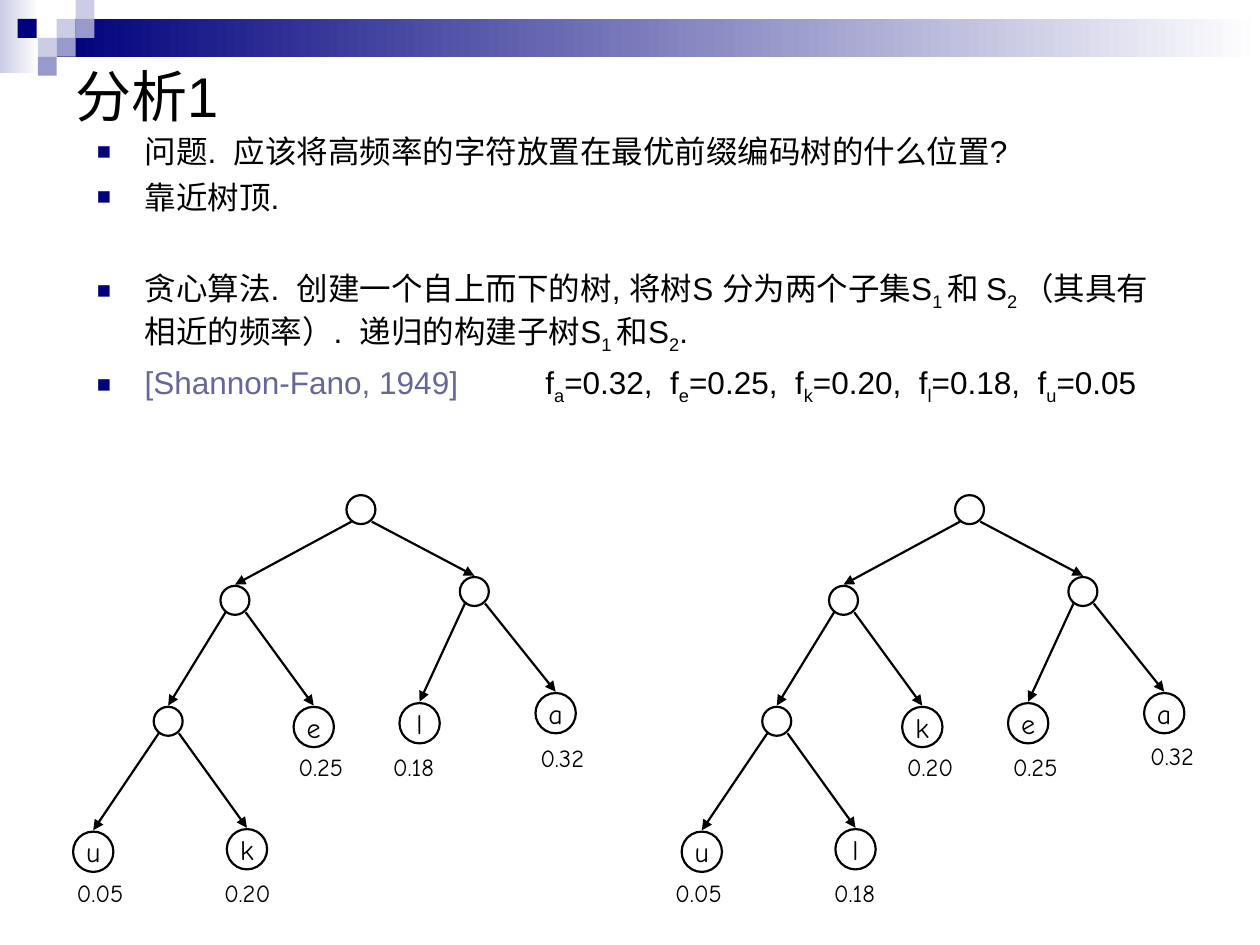
from dataclasses import dataclass

from lxml.etree import SubElement
from pptx import Presentation
from pptx.dml.color import RGBColor
from pptx.enum.shapes import MSO_CONNECTOR, MSO_SHAPE
from pptx.enum.text import MSO_ANCHOR, PP_ALIGN
from pptx.oxml.ns import qn
from pptx.util import Inches, Pt


@dataclass(frozen=True)
class Theme:
    black: str = "000000"
    white: str = "FFFFFF"
    navy: str = "00007D"
    violet: str = "9999CC"
    pale: str = "CCCCE6"
    cite: str = "666699"
    font: str = "Arial"
    tree_font: str = "Comic Neue"
    title: int = 32
    body: int = 18
    node: int = 16
    label: int = 14
    line: float = 1.25


T = Theme()
FREQUENCY = {"a": "0.32", "e": "0.25", "k": "0.20", "l": "0.18", "u": "0.05"}
INNER, LEAF = 0.23, 0.32

# Inner nodes: left, top
NODES = {"root": (2.75, 3.93), "left": (1.75, 4.65),
         "right": (3.65, 4.58), "low": (1.22, 5.61)}
# Leaves: left, top
LEAVES = {"low_l": (0.58, 6.6), "low_r": (1.8, 6.58), "left_r": (2.33, 5.61),
          "right_l": (3.17, 5.58), "right_r": (4.25, 5.5)}
# Parent: left child, right child
CHILDREN = {"root": ("left", "right"), "left": ("low", "left_r"),
            "right": ("right_l", "right_r"), "low": ("low_l", "low_r")}

# Each tree: shift, then letter with label left and top for every leaf
TREES = [
    (0, {"low_l": ("u", 0.51, 6.92), "low_r": ("k", 1.68, 6.92),
         "left_r": ("e", 2.27, 5.92), "right_l": ("l", 3.02, 5.92),
         "right_r": ("a", 4.19, 5.85)}),
    (4.83, {"low_l": ("u", 5.26, 6.92), "low_r": ("l", 6.52, 6.92),
            "left_r": ("k", 7.1, 5.92), "right_l": ("e", 7.94, 5.92),
            "right_r": ("a", 9.03, 5.83)}),
]

# Body runs, alternating between normal and subscript
GREEDY = ["贪心算法.  创建一个自上而下的树, 将树S 分为两个子集S", "1 ", "和 S", "2 ",
          "（其具有相近的频率）.  递归的构建子树S", "1 ", "和S", "2", "."]
FREQUENCIES = ["f", "a", "=0.32,  f", "e", "=0.25,  f", "k", "=0.20,  f",
               "l", "=0.18,  f", "u", "=0.05"]


def rgb(color):
    return RGBColor.from_string(color)


def add_run(p, text, size, color=T.black, font=T.font, subscript=False):
    r = p.add_run()
    r.text = text
    r.font.size = Pt(size)
    r.font.name = font
    r.font.color.rgb = rgb(color)
    if subscript:
        r.font._element.set("baseline", "-25000")


def add_runs(p, texts):
    for i, text in enumerate(texts):
        add_run(p, text, T.body, subscript=i % 2 == 1)


def add_block(s, left, top, width, height, color, fade=False):
    sp = s.shapes.add_shape(MSO_SHAPE.RECTANGLE, Inches(left), Inches(top),
                            Inches(width), Inches(height))
    sp.shadow.inherit = False
    sp.line.fill.background()
    if fade:
        sp.fill.gradient()
        sp.fill.gradient_angle = 0
        for stop, c in zip(sp.fill.gradient_stops, (color, T.white)):
            stop.color.rgb = rgb(c)
    else:
        sp.fill.solid()
        sp.fill.fore_color.rgb = rgb(color)


def add_banner(s):
    add_block(s, 0, 0, 0.31, 0.58, T.pale, fade=True)
    add_block(s, 0.45, 0.15, 9.55, 0.3, T.navy, fade=True)
    for left, top, color in [
            (0.45, 0.15, T.pale), (0.6, 0, T.pale), (0.6, 0.15, T.violet),
            (0.3, 0.3, T.pale), (0.14, 0.15, T.navy), (0.45, 0.3, T.violet),
            (0.3, 0.45, T.violet)]:
        add_block(s, left, top, 0.15, 0.15, color)


def add_title(s, text):
    sp = s.shapes.title
    sp.left, sp.top = Inches(0.5), Inches(0.42)
    sp.width, sp.height = Inches(9), Inches(0.67)
    tf = sp.text_frame
    tf.vertical_anchor = MSO_ANCHOR.MIDDLE
    p = tf.paragraphs[0]
    p.alignment = PP_ALIGN.LEFT
    add_run(p, text, T.title)


def set_bullet(p, tab=None):
    pPr = p._p.get_or_add_pPr()
    pPr.set("marL", str(Inches(0.38)))
    pPr.set("indent", str(-Inches(0.38)))
    SubElement(SubElement(pPr, qn("a:buClr")), qn("a:srgbClr"), val=T.navy)
    SubElement(pPr, qn("a:buSzPct"), val="75000")
    SubElement(pPr, qn("a:buFont"), typeface=T.font)
    SubElement(pPr, qn("a:buChar"), char="■")
    if tab:
        SubElement(SubElement(pPr, qn("a:tabLst")), qn("a:tab"),
                   pos=str(Inches(tab)), algn="l")


def add_body(s):
    tf = s.shapes.add_textbox(Inches(0.67), Inches(1), Inches(8.75),
                              Inches(5.92)).text_frame
    tf.word_wrap = True

    def bullet(before, tab=None):
        p = tf.add_paragraph() if before else tf.paragraphs[0]
        set_bullet(p, tab)
        if before:
            p.space_before = Pt(before)
        return p

    add_runs(bullet(0), ["问题.  应该将高频率的字符放置在最优前缀编码树的什么位置?"])
    add_runs(bullet(4.5), ["靠近树顶."])
    add_runs(bullet(30.5), GREEDY)
    p = bullet(4.5, tab=3.56)
    add_run(p, "[Shannon-Fano, 1949]\t", T.body, T.cite)
    add_runs(p, FREQUENCIES)


def add_node(s, left, top, size, letter=None):
    sp = s.shapes.add_shape(MSO_SHAPE.OVAL, Inches(left), Inches(top),
                            Inches(size), Inches(size))
    sp.shadow.inherit = False
    sp.fill.background()
    sp.line.color.rgb = rgb(T.black)
    sp.line.width = Pt(T.line)
    if letter:
        tf = sp.text_frame
        tf.word_wrap = False
        tf.vertical_anchor = MSO_ANCHOR.MIDDLE
        p = tf.paragraphs[0]
        p.alignment = PP_ALIGN.CENTER
        add_run(p, letter, T.node, font=T.tree_font)


def add_arrow(s, x1, y1, x2, y2):
    line = s.shapes.add_connector(MSO_CONNECTOR.STRAIGHT, Inches(x1), Inches(y1),
                                  Inches(x2), Inches(y2))
    line.line.color.rgb = rgb(T.black)
    line.line.width = Pt(T.line)
    SubElement(line.line._get_or_add_ln(), qn("a:tailEnd"), type="triangle")
    SubElement(line._element.spPr, qn("a:effectLst"))


def add_label(s, left, top, text):
    tf = s.shapes.add_textbox(Inches(left), Inches(top), Inches(0.6),
                              Inches(0.33)).text_frame
    tf.word_wrap = False
    # Room to spare on the right keeps every number on one line
    tf.margin_right = 0
    add_run(tf.paragraphs[0], text, T.label, font=T.tree_font)


def add_tree(s, shift, leaves):
    for left, top in NODES.values():
        add_node(s, left + shift, top, INNER)
    for name, (letter, label_left, label_top) in leaves.items():
        left, top = LEAVES[name]
        add_node(s, left + shift, top, LEAF, letter)
        add_label(s, label_left, label_top, FREQUENCY[letter])
    # Arrows run from the lower sides of a parent to the top of each child
    for parent, children in CHILDREN.items():
        px, py = NODES[parent]
        for child, dx in zip(children, (0.04, 0.2)):
            size = INNER if child in NODES else LEAF
            cx, cy = (NODES | LEAVES)[child]
            add_arrow(s, px + dx + shift, py + 0.21,
                      cx + size / 2 + shift, cy - 0.01)


def main():
    prs = Presentation()
    prs.slide_width, prs.slide_height = Inches(10), Inches(7.5)
    s = prs.slides.add_slide(prs.slide_layouts[5])
    add_banner(s)
    add_title(s, "分析1")
    add_body(s)
    for shift, leaves in TREES:
        add_tree(s, shift, leaves)
    prs.save("out.pptx")


if __name__ == "__main__":
    main()
